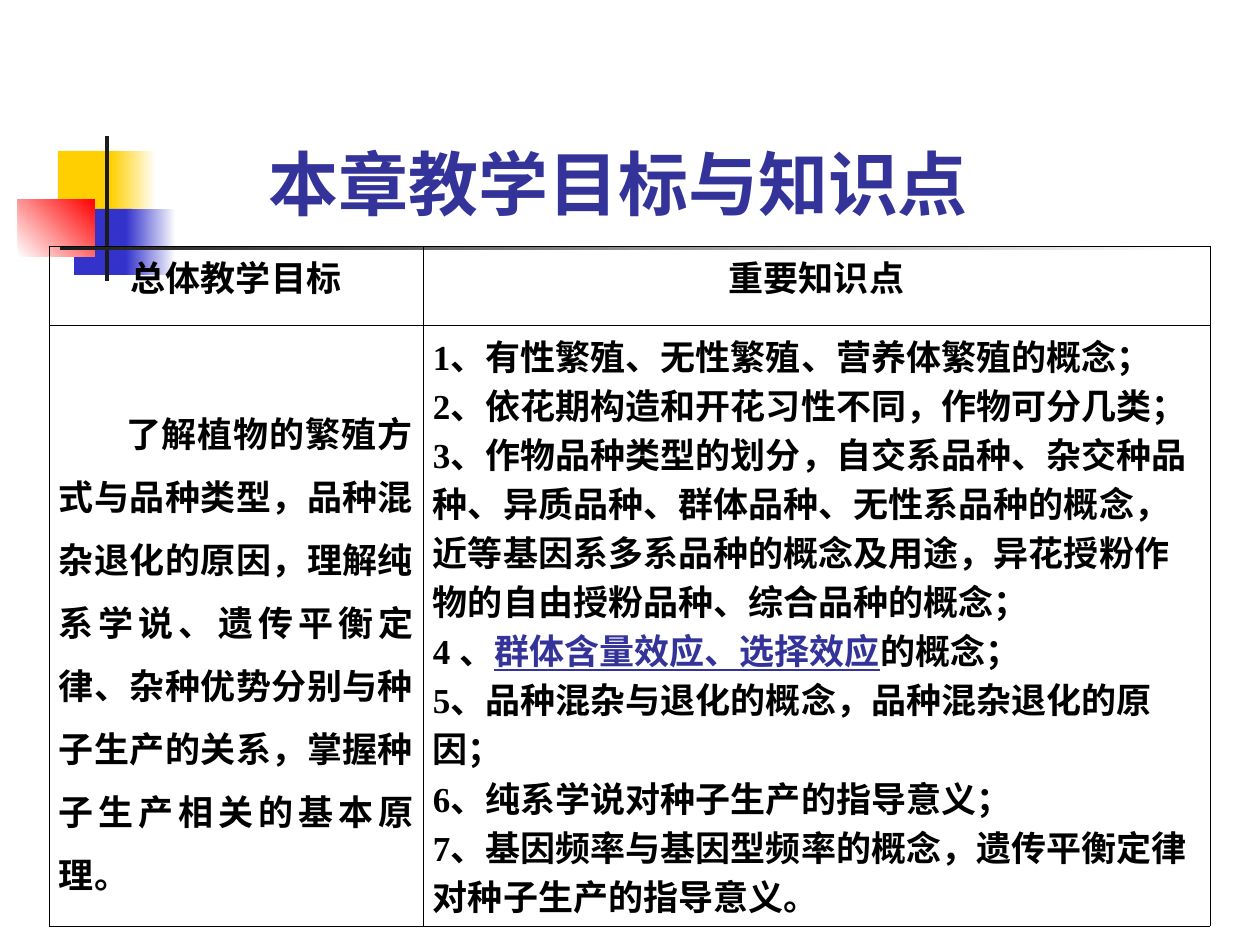
import lxml.etree
import pptx
import pptx.dml.color
import pptx.enum.lang
import pptx.enum.shapes
import pptx.enum.text
import pptx.oxml.ns
import pptx.util
from dataclasses import dataclass

SCALE = 914400 / 126  # EMU in one px
ALIGN = pptx.enum.text.PP_ALIGN
ANCHOR = pptx.enum.text.MSO_ANCHOR
qn = pptx.oxml.ns.qn


@dataclass(frozen=True)
class Theme:
    yellow: str = "FFCF01"
    blue: str = "3333CC"
    red: str = "FF0000"
    white: str = "FFFFFF"
    dark: str = "1C1C1C"
    ink: str = "000000"
    accent: str = "333399"
    cjk: str = "Noto Sans CJK SC"
    serif: str = "Times New Roman"
    sans: str = "Karla"
    title_size: int = 40
    body_size: int = 20
    border: float = 0.45


theme = Theme()


def px(*lengths):
    return [pptx.util.Emu(round(length * SCALE)) for length in lengths]


def add_run(paragraph, text, latin, size, color, underline=False):
    """Add a bold run with separate Latin and East Asian fonts."""
    run = paragraph.add_run()
    run.text = text
    font = run.font
    font.size, font.bold, font.name = pptx.util.Pt(size), True, latin
    font.language_id = pptx.enum.lang.MSO_LANGUAGE_ID.SIMPLIFIED_CHINESE
    font.color.rgb = pptx.dml.color.RGBColor.from_string(color)
    if underline:
        font.underline = True
    east_asian = lxml.etree.Element(qn("a:ea"), typeface=theme.cjk)
    run._r.rPr.find(qn("a:latin")).addnext(east_asian)


deck = pptx.Presentation()
deck.slide_width, deck.slide_height = px(1260, 945)
slide = deck.slides.add_slide(deck.slide_layouts[5])

# Corner ornament: box, colours from start to end, gradient angle
ornament = [
    ((58, 151, 60, 66), (theme.yellow,), 0),
    ((111, 151, 45, 66), (theme.yellow, theme.white), 0),
    ((74, 209, 58, 66), (theme.blue,), 0),
    ((126, 209, 50, 66), (theme.blue, theme.white), 0),
    ((18, 199, 77, 58), (theme.white, theme.red), 45),
    ((105, 136, 4, 145), (theme.dark,), 0),
    ((60, 246, 1134, 4), (theme.dark, theme.white), 0),
]
for box, colors, angle in ornament:
    block = slide.shapes.add_shape(pptx.enum.shapes.MSO_SHAPE.RECTANGLE, *px(*box))
    block.shadow.inherit = False
    block.line.fill.background()
    if len(colors) == 1:
        block.fill.solid()
        block.fill.fore_color.rgb = pptx.dml.color.RGBColor.from_string(colors[0])
    else:
        block.fill.gradient()
        block.fill.gradient_angle = angle
        for stop, color in zip(block.fill.gradient_stops, colors):
            stop.color.rgb = pptx.dml.color.RGBColor.from_string(color)

title = slide.shapes.title
title.left, title.top, title.width, title.height = px(256, 128, 776, 103)
title.text_frame.auto_size = pptx.enum.text.MSO_AUTO_SIZE.NONE
title.text_frame.vertical_anchor = ANCHOR.BOTTOM
heading = title.text_frame.paragraphs[0]
heading.alignment = ALIGN.LEFT
add_run(heading, "本章教学目标与知识点", theme.cjk, theme.title_size, theme.accent)

goal = ("了解植物的繁殖方式与品种类型，品种混杂退化的原因，理解纯系学说、遗传平衡定律、"
        "杂种优势分别与种子生产的关系，掌握种子生产相关的基本原理。")
# Each point is a list of (text, is a key term)
points = [
    [("1、有性繁殖、无性繁殖、营养体繁殖的概念；", False)],
    [("2、依花期构造和开花习性不同，作物可分几类；", False)],
    [("3、作物品种类型的划分，自交系品种、杂交种品种、异质品种、群体品种、无性系品种的概念，"
      "近等基因系多系品种的概念及用途，异花授粉作物的自由授粉品种、综合品种的概念；", False)],
    [("4 、", False), ("群体含量效应、选择效应", True), ("的概念；", False)],
    [("5、品种混杂与退化的概念，品种混杂退化的原因；", False)],
    [("6、纯系学说对种子生产的指导意义；", False)],
    [("7、基因频率与基因型频率的概念，遗传平衡定律对种子生产的指导意义。", False)],
]

# Cell: paragraphs, Latin font, alignment, line spacing, anchor, top margin, first-line indent
header = (theme.serif, ALIGN.CENTER, 18, ANCHOR.MIDDLE, 6, 0)
contents = [
    [([[("总体教学目标", False)]], *header), ([[("重要知识点", False)]], *header)],
    [([[(goal, False)]], theme.sans, ALIGN.JUSTIFY, 36, ANCHOR.TOP, 70, 67),
     (points, theme.serif, ALIGN.LEFT, 28, ANCHOR.TOP, 7, 0)],
]
column_widths, row_heights = (374, 787), (79, 600)
table = slide.shapes.add_table(
    2, 2, *px(49, 246, sum(column_widths), sum(row_heights))).table
table.first_row = table.horz_banding = False
for column, width in zip(table.columns, px(*column_widths)):
    column.width = width
for row, height in zip(table.rows, px(*row_heights)):
    row.height = height

for row, row_contents in zip(table.rows, contents):
    for cell, content in zip(row.cells, row_contents):
        paragraphs, latin, alignment, spacing, anchor, top, indent = content
        cell.vertical_anchor = anchor
        cell.margin_left, cell.margin_right, cell.margin_top, cell.margin_bottom = px(
            10, 10, top, 6)
        for index, runs in enumerate(paragraphs):
            frame = cell.text_frame
            paragraph = frame.add_paragraph() if index else frame.paragraphs[0]
            paragraph.alignment = alignment
            paragraph.line_spacing = pptx.util.Pt(spacing)
            # Keep closing punctuation inside the cell
            paragraph_properties = paragraph._p.get_or_add_pPr()
            paragraph_properties.set("hangingPunct", "0")
            if indent:
                paragraph_properties.set("indent", str(px(indent)[0]))
            for text, key_term in runs:
                color = theme.accent if key_term else theme.ink
                add_run(paragraph, text, latin, theme.body_size, color, key_term)
        properties = cell._tc.get_or_add_tcPr()
        for side in ("a:lnL", "a:lnR", "a:lnT", "a:lnB"):
            line = lxml.etree.SubElement(
                properties, qn(side), w=str(pptx.util.Pt(theme.border)))
            solid = lxml.etree.SubElement(line, qn("a:solidFill"))
            lxml.etree.SubElement(solid, qn("a:srgbClr"), val=theme.ink)
        cell.fill.background()

deck.save("out.pptx")
